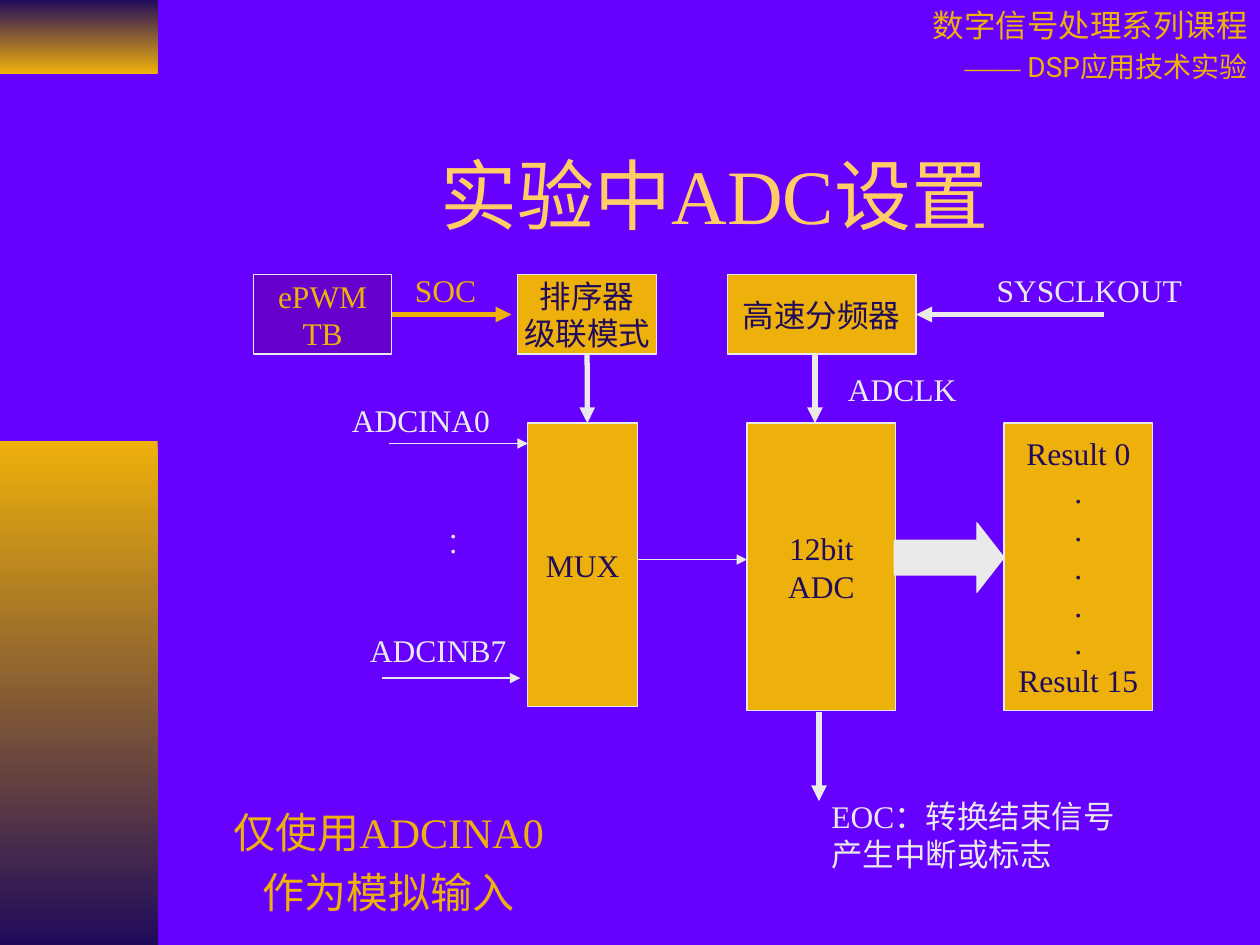
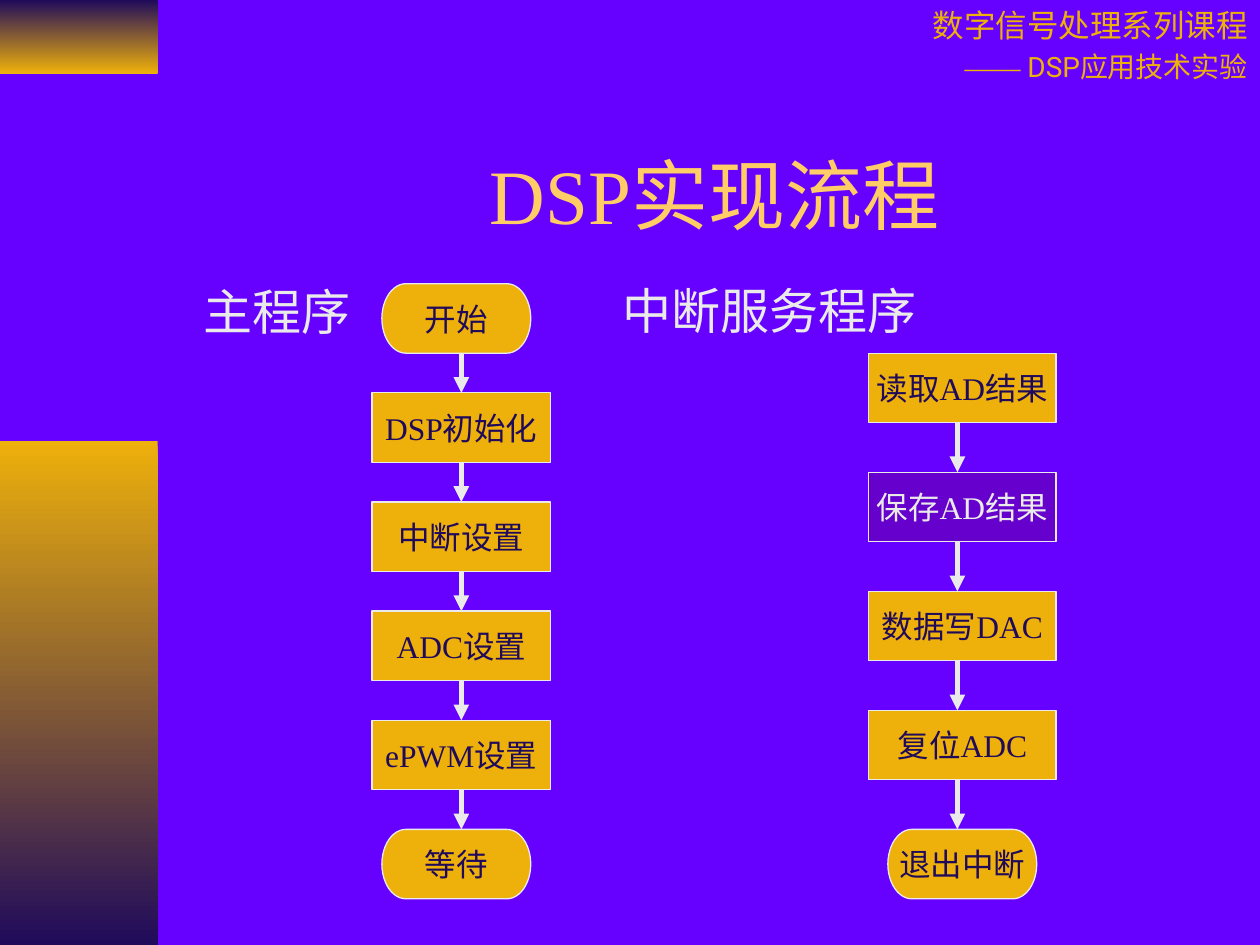
import pptx
import pptx.util
import pptx.dml.color
import pptx.enum.shapes
import pptx.enum.text
import pptx.oxml
import pptx.oxml.ns

Cm, Pt = pptx.util.Cm, pptx.util.Pt
SHAPE = pptx.enum.shapes.MSO_SHAPE
ALIGN = pptx.enum.text.PP_ALIGN
ANCHOR = pptx.enum.text.MSO_ANCHOR
AUTO_SIZE = pptx.enum.text.MSO_AUTO_SIZE

# Shared colours and fonts
PURPLE, VIOLET, NAVY = "6600FF", "6600CC", "200B5B"
GOLD, PALE, TITLE_GOLD = "EEB00B", "EAEAEA", "FFCC66"
SERIF, SANS, CHINESE = "Times New Roman", "Roboto", "Noto Sans CJK SC"
TOP, LEFT, BOTTOM, RIGHT = range(4)


def colour(value):
    return pptx.dml.color.RGBColor.from_string(value)


def lengths(box):
    return [Cm(value) for value in box]


def add_xml(parent, tag, **attributes):
    child = pptx.oxml.ns.qn(tag)
    return parent.makeelement(child, attributes) if parent is None else \
        pptx.oxml.xmlchemy.SubElement(parent, child, attributes) \
        if hasattr(pptx.oxml.xmlchemy, "SubElement") else append_child(parent, child, attributes)


def append_child(parent, name, attributes):
    child = parent.makeelement(name, attributes)
    parent.append(child)
    return child


def set_font(font, name, size, value):
    font.name, font.size = name, Pt(size)
    font.color.rgb = colour(value)


def write_lines(frame, lines, size, value, align):
    for index, text in enumerate(lines):
        para = frame.add_paragraph() if index else frame.paragraphs[0]
        para.text, para.alignment = text, align
        set_font(para.font, SERIF, size, value)
    return frame.paragraphs


# Elements
def add_block(page, kind, box, lines=(), fill=GOLD, ink=NAVY):
    block = page.shapes.add_shape(kind, *lengths(box))
    block.shadow.inherit = False
    block.fill.solid()
    block.fill.fore_color.rgb = colour(fill)
    block.line.color.rgb = colour(PALE)
    block.line.width = Pt(0.75)
    block.text_frame.word_wrap = False
    block.text_frame.vertical_anchor = ANCHOR.MIDDLE
    write_lines(block.text_frame, lines, 18, ink, ALIGN.CENTER)
    return block


def add_label(page, box, lines, size=18, ink=PALE, align=ALIGN.RIGHT, wrap=False):
    label = page.shapes.add_textbox(*lengths(box))
    label.text_frame.word_wrap = wrap
    label.text_frame.auto_size = AUTO_SIZE.SHAPE_TO_FIT_TEXT
    return write_lines(label.text_frame, lines, size, ink, align)


def add_arrow(page, start, end, width=3, ink=PALE, source=None, target=None):
    """source and target are (block, side) pairs to join."""
    arrow = page.shapes.add_connector(
        pptx.enum.shapes.MSO_CONNECTOR.STRAIGHT, *lengths(start + end))
    arrow.line.color.rgb = colour(ink)
    arrow.line.width = Pt(width)
    append_child(arrow.line._get_or_add_ln(), pptx.oxml.ns.qn("a:tailEnd"),
                 {"type": "triangle"})
    append_child(arrow._element.spPr, pptx.oxml.ns.qn("a:effectLst"), {})
    if source:
        arrow.begin_connect(*source)
    if target:
        arrow.end_connect(*target)


def add_band(page, top, height, first, last):
    band = page.shapes.add_shape(SHAPE.RECTANGLE, *lengths((0, top, 3.18, height)))
    band.shadow.inherit = False
    band.line.fill.background()
    band.fill.gradient()
    band.fill.gradient_angle = 270
    for stop, value, place in zip(band.fill.gradient_stops, (first, last), (0, 1)):
        stop.color.rgb = colour(value)
        stop.position = place


def add_course_name(page):
    box = page.shapes.add_textbox(*lengths((16.26, 0, 9.14, 1.83)))
    frame = box.text_frame
    frame.word_wrap = True
    course = [(18, [("数字信号处理系列课程", CHINESE)]),
              (16, [("—— ", SERIF), ("DSP", SANS), ("应用技术实验", CHINESE)])]
    for index, (size, spans) in enumerate(course):
        para = frame.add_paragraph() if index else frame.paragraphs[0]
        para.alignment = ALIGN.RIGHT
        para.space_before = Pt(size * 0.2)
        for text, name in spans:
            span = para.add_run()
            span.text = text
            set_font(span.font, name, size, GOLD)
            if name == CHINESE:
                append_child(span.font._element, pptx.oxml.ns.qn("a:ea"),
                             {"typeface": name})


def add_page(deck, title):
    page = deck.slides.add_slide(deck.slide_layouts[5])
    add_band(page, 0, 1.48, NAVY, GOLD)
    add_band(page, 8.89, 10.16, GOLD, NAVY)
    add_course_name(page)
    heading = page.shapes.title
    heading.left, heading.top, heading.width, heading.height = \
        lengths((3.61, 2.31, 21.59, 3.18))
    heading.text_frame.vertical_anchor = ANCHOR.MIDDLE
    write_lines(heading.text_frame, [title], 44, TITLE_GOLD, ALIGN.CENTER)
    return page


def add_flow(page, steps, top, pitch, centre, width, end_centre, arrow_x):
    """Stack steps downwards; steps named in ENDS are rounded."""
    height, previous = 1.4, None
    for index, (text, kind, fill, ink) in enumerate(steps):
        is_box = kind == SHAPE.RECTANGLE
        middle, wide = (centre, width) if is_box else (end_centre, 3)
        y = top + index * pitch
        block = add_block(page, kind, (middle - wide / 2, y, wide, height),
                          [text], fill, ink)
        joint = block if is_box and arrow_x == centre else None
        if index:
            add_arrow(page, (arrow_x, y - pitch + height), (arrow_x, y),
                      source=previous and (previous, BOTTOM),
                      target=joint and (joint, TOP))
        previous = joint


# Slides
def add_adc_page(deck):
    page = add_page(deck, "实验中ADC设置")
    box = SHAPE.RECTANGLE

    # Blocks
    timer = add_block(page, box, (5.11, 5.54, 2.79, 1.6), ["ePWM", "TB"], VIOLET, GOLD)
    sequencer = add_block(page, box, (10.44, 5.54, 2.79, 1.6), ["排序器", "级联模式"])
    divider = add_block(page, box, (14.66, 5.54, 3.81, 1.6), ["高速分频器"])
    add_block(page, box, (10.64, 8.53, 2.21, 5.72), ["MUX"])
    add_block(page, box, (15.06, 8.53, 3, 5.79), ["12bit", "ADC"])
    add_block(page, box, (20.24, 8.53, 3, 5.79),
              ["Result 0"] + ["."] * 5 + ["Result 15"])
    output = add_block(page, SHAPE.RIGHT_ARROW, (18.03, 10.54, 2.21, 1.4), fill=PALE)
    output.adjustments[0], output.adjustments[1] = 0.5, 0.39

    # Arrows
    add_arrow(page, (7.9, 6.34), (10.31, 6.34), ink=GOLD, source=(timer, RIGHT))
    add_arrow(page, (22.25, 6.34), (18.47, 6.34), target=(divider, RIGHT))
    add_arrow(page, (11.84, 7.14), (11.84, 8.53), source=(sequencer, BOTTOM))
    add_arrow(page, (16.43, 7.14), (16.43, 8.53))
    add_arrow(page, (16.51, 14.35), (16.51, 16.15))
    for start, end, y in [(7.85, 10.64, 8.94), (7.7, 10.49, 13.67), (12.85, 15.06, 11.28)]:
        add_arrow(page, (start, y), (end, y), width=0.75)

    # Labels
    add_label(page, (8.1, 5.33, 1.75, 1.02), ["SOC"], ink=GOLD)
    for text, left, top, width in [("SYSCLKOUT", 19.84, 5.33, 4.24),
                                   ("ADCLK", 16.84, 7.34, 2.69),
                                   ("ADCINA0", 6.83, 7.95, 3.3),
                                   ("ADCINB7", 7.16, 12.6, 3.3)]:
        add_label(page, (left, top, width, 1.02), [text])
    for para in add_label(page, (8.81, 10.49, 0.66, 0.86), [".", "."]):
        para.line_spacing = 0.4
    add_label(page, (16.51, 15.95, 7.21, 1.78), ["EOC：转换结束信号", "产生中断或标志"],
              align=ALIGN.LEFT, wrap=True)
    note = add_label(page, (4.04, 15.93, 7.59, 2.69), ["仅使用ADCINA0作为模拟输入"],
                     24, GOLD, ALIGN.CENTER, True)
    note[0].line_spacing = 1.2


def add_flow_page(deck):
    page = add_page(deck, "DSP实现流程")
    box = (SHAPE.RECTANGLE, GOLD, NAVY)
    end = (SHAPE.FLOWCHART_TERMINATOR, GOLD, NAVY)
    stored = (SHAPE.RECTANGLE, VIOLET, PALE)

    # Main program
    add_label(page, (3.84, 5.56, 3.48, 1.45), ["主程序"], 28)
    main_steps = [("开始", *end), ("DSP初始化", *box), ("中断设置", *box),
                  ("ADC设置", *box), ("ePWM设置", *box), ("等待", *end)]
    add_flow(page, main_steps, 5.72, 2.2, 9.3, 3.6, 9.2, 9.3)

    # Interrupt routine
    add_label(page, (12.29, 5.54, 6.43, 1.45), ["中断服务程序"], 28)
    interrupt_steps = [("读取AD结果", *box), ("保存AD结果", *stored), ("数据写DAC", *box),
                       ("复位ADC", *box), ("退出中断", *end)]
    add_flow(page, interrupt_steps, 7.12, 2.4, 19.4, 3.78, 19.4, 19.3)


def main():
    deck = pptx.Presentation()
    deck.slide_width, deck.slide_height = Cm(25.4), Cm(19.05)
    background = deck.slide_master.background.fill
    background.solid()
    background.fore_color.rgb = colour(PURPLE)
    add_adc_page(deck)
    add_flow_page(deck)
    deck.save("out.pptx")


if __name__ == "__main__":
    main()
